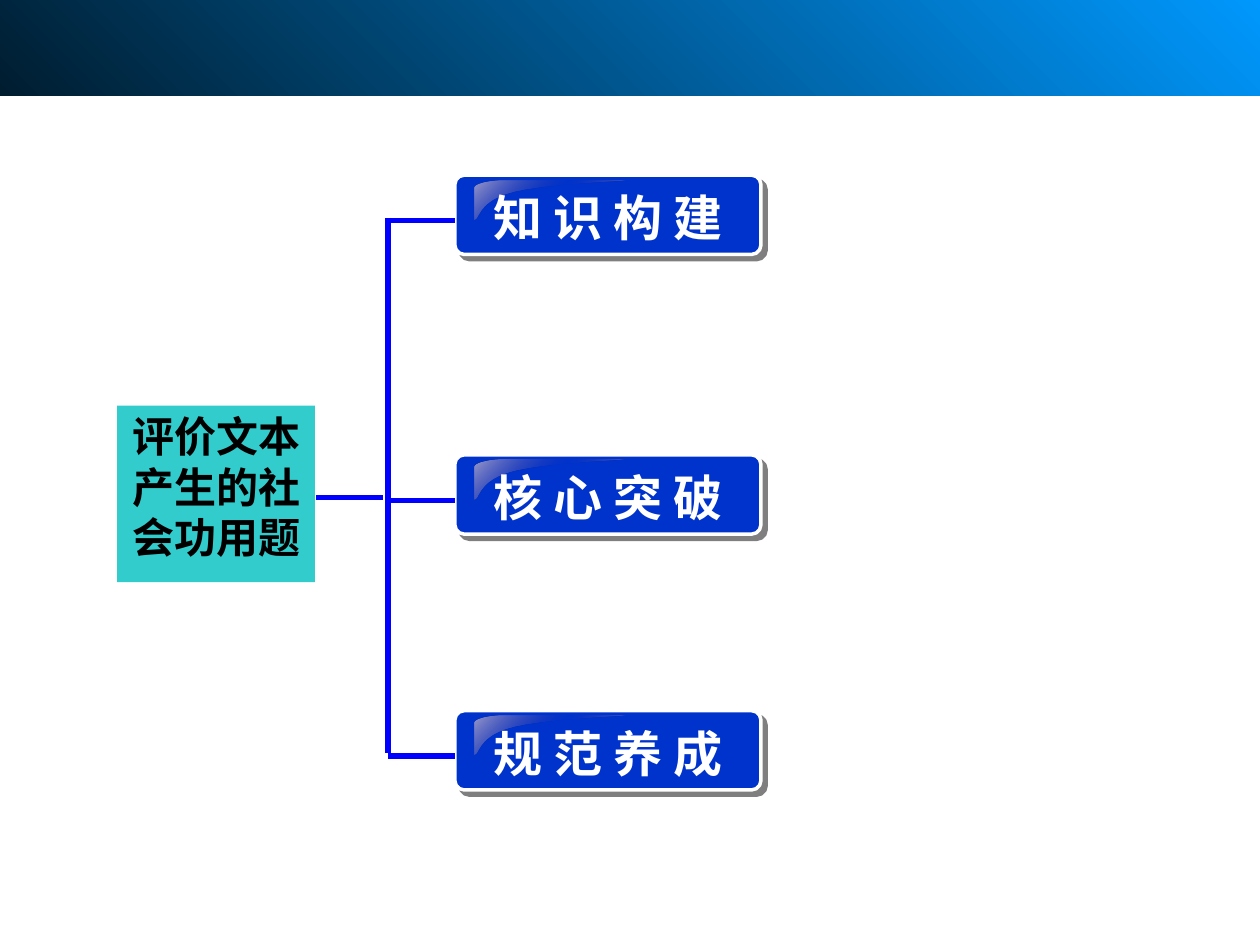
from lxml import etree
from pptx import Presentation
from pptx import util as u
from pptx.dml.color import RGBColor
from pptx.enum import shapes, text
from pptx.oxml import parse_xml
from pptx.oxml.ns import nsdecls, qn

COLORS = {
    "sky": "0099FF", "night": "001D30", "teal": "33CCCC", "button": "0033CC",
    "line": "0000FF", "gloss": "9B9BCC", "clear": "333399",
    "white": "FFFFFF", "black": "000000",
}
CJK_FONT = "Noto Sans CJK SC"
COLUMNS, ROWS = 100, 75
TOPICS = {13.9: "知 识 构 建", 36.1: "核 心 突 破", 56.4: "规 范 养 成"}


def curve(start, first, second, end, steps=12):
    """Points along a cubic Bezier curve, without its start."""
    for step in range(1, steps + 1):
        t = step / steps
        weights = ((1 - t) ** 3, 3 * t * (1 - t) ** 2, 3 * t * t * (1 - t), t ** 3)
        yield tuple(sum(w * p[axis] for w, p in zip(weights, (start, first, second, end)))
                    for axis in (0, 1))


class Diagram:
    def __init__(self, deck):
        self.slide = deck.slides.add_slide(deck.slide_layouts[6])
        self.shapes = self.slide.shapes
        self.unit = deck.slide_width / COLUMNS

    def grid(self, *lengths):
        return [u.Emu(round(length * self.unit)) for length in lengths]

    def color(self, name):
        return RGBColor.from_string(COLORS[name])

    def block(self, left, top, width, height, fill=None, kind=shapes.MSO_SHAPE.RECTANGLE):
        box = self.shapes.add_shape(kind, *self.grid(left, top, width, height))
        box.shadow.inherit = False
        box.line.fill.background()
        if fill:
            box.fill.solid()
            box.fill.fore_color.rgb = self.color(fill)
        return box

    def gradient(self, shape, stops, angle):
        """Stops are (percent, colour name, opacity percent)."""
        marks = "".join(
            f'<a:gs pos="{pos * 1000}"><a:srgbClr val="{COLORS[name]}">'
            f'<a:alpha val="{opacity * 1000}"/></a:srgbClr></a:gs>'
            for pos, name, opacity in stops)
        shape.fill.background()
        old = shape._element.spPr.find(qn("a:noFill"))
        old.getparent().replace(old, parse_xml(
            f'<a:gradFill {nsdecls("a")} rotWithShape="1"><a:gsLst>{marks}</a:gsLst>'
            f'<a:lin ang="{angle * 60000}" scaled="0"/></a:gradFill>'))

    def label(self, box, words, size, font, color, align, anchor, insets):
        frame = box.text_frame
        frame.word_wrap = True
        frame.auto_size = text.MSO_AUTO_SIZE.SHAPE_TO_FIT_TEXT
        frame.vertical_anchor = anchor
        (frame.margin_left, frame.margin_top,
         frame.margin_right, frame.margin_bottom) = self.grid(*insets)
        para = frame.paragraphs[0]
        para.text = words
        para.alignment = align
        para.font.name, para.font.size, para.font.bold = font, u.Pt(size), True
        para.font.color.rgb = self.color(color)
        style = para._p.pPr.find(qn("a:defRPr"))
        etree.SubElement(style, qn("a:ea")).set("typeface", CJK_FONT)

    def gloss(self, left, top):
        """Curved highlight in the upper left corner of a button."""
        start, low = (left + 2.4, top), (left, top + 3.1)
        corner, bend, tip = (left, top + 0.6), (left + 3.2, top + 0.9), (left + 11.9, top)
        points = [
            *curve(start, (left + 1, top), (left, top + 0.3), corner), low,
            *curve(low, (left + 0.5, top + 3.1), (left + 0.2, top + 1.6), bend),
            *curve(bend, (left + 6.3, top + 0.2), (left + 12.1, top + 0.1), tip),
        ]
        builder = self.shapes.build_freeform(*self.grid(*start))
        builder.add_line_segments([self.grid(*point) for point in points])
        shine = builder.convert_to_shape()
        shine.shadow.inherit = False
        shine.line.fill.background()
        self.gradient(shine, [(0, "gloss", 100), (50, "clear", 0), (100, "gloss", 100)], 225)

    def button(self, top, words):
        left = 36.1
        box = self.block(left, top, 24.3, 6.3, "button", shapes.MSO_SHAPE.ROUNDED_RECTANGLE)
        box.adjustments[0] = 0.12
        box.line.color.rgb = self.color("white")
        box.line.width = u.Pt(2)
        box._element.spPr.find(qn("a:effectLst")).append(parse_xml(
            f'<a:outerShdw {nsdecls("a")} blurRad="0" dist="{u.Pt(4.2)}" dir="2700000" '
            f'algn="ctr" rotWithShape="0"><a:srgbClr val="{COLORS["black"]}">'
            '<a:alpha val="50000"/></a:srgbClr></a:outerShdw>'))
        self.gloss(left + 1.6, top + 0.4)
        caption = self.shapes.add_textbox(*self.grid(left + 2.1, top + 0.5, 41.1, 5.7))
        self.label(caption, words, 28, "Times New Roman", "white", text.PP_ALIGN.LEFT,
                   text.MSO_ANCHOR.MIDDLE, (1, 0.5, 1, 0.5))

    def line(self, *ends):
        link = self.shapes.add_connector(shapes.MSO_CONNECTOR.STRAIGHT, *self.grid(*ends))
        link.line.color.rgb = self.color("line")
        link.line.width = u.Pt(3)
        etree.SubElement(link._element.spPr, qn("a:effectLst"))


def main():
    deck = Presentation()
    deck.slide_width, deck.slide_height = u.Inches(10), u.Inches(7.5)
    diagram = Diagram(deck)

    # Header band
    band = diagram.block(0, -1.1, COLUMNS, 8.7)
    diagram.gradient(band, [(0, "sky", 100), (100, "night", 100)], 135)

    # Root topic
    root = diagram.block(9.3, 32.2, 15.7, 14, "teal")
    diagram.label(root, "评价文本产生的社会功用题", 24, CJK_FONT, "black",
                  text.PP_ALIGN.CENTER, text.MSO_ANCHOR.TOP, (1, 0.4, 1, 1.6))

    # Branch buttons
    for top, words in TOPICS.items():
        diagram.button(top, words)

    # Bracket: stem, trunk and one arm for each button
    trunk = 30.8
    diagram.line(25.1, 39.5, 30.4, 39.5)
    diagram.line(trunk, 17.3, trunk, 59.8)
    for top in TOPICS:
        diagram.line(trunk, top + 3.6, 36.1, top + 3.6)

    deck.save("out.pptx")


if __name__ == "__main__":
    main()
